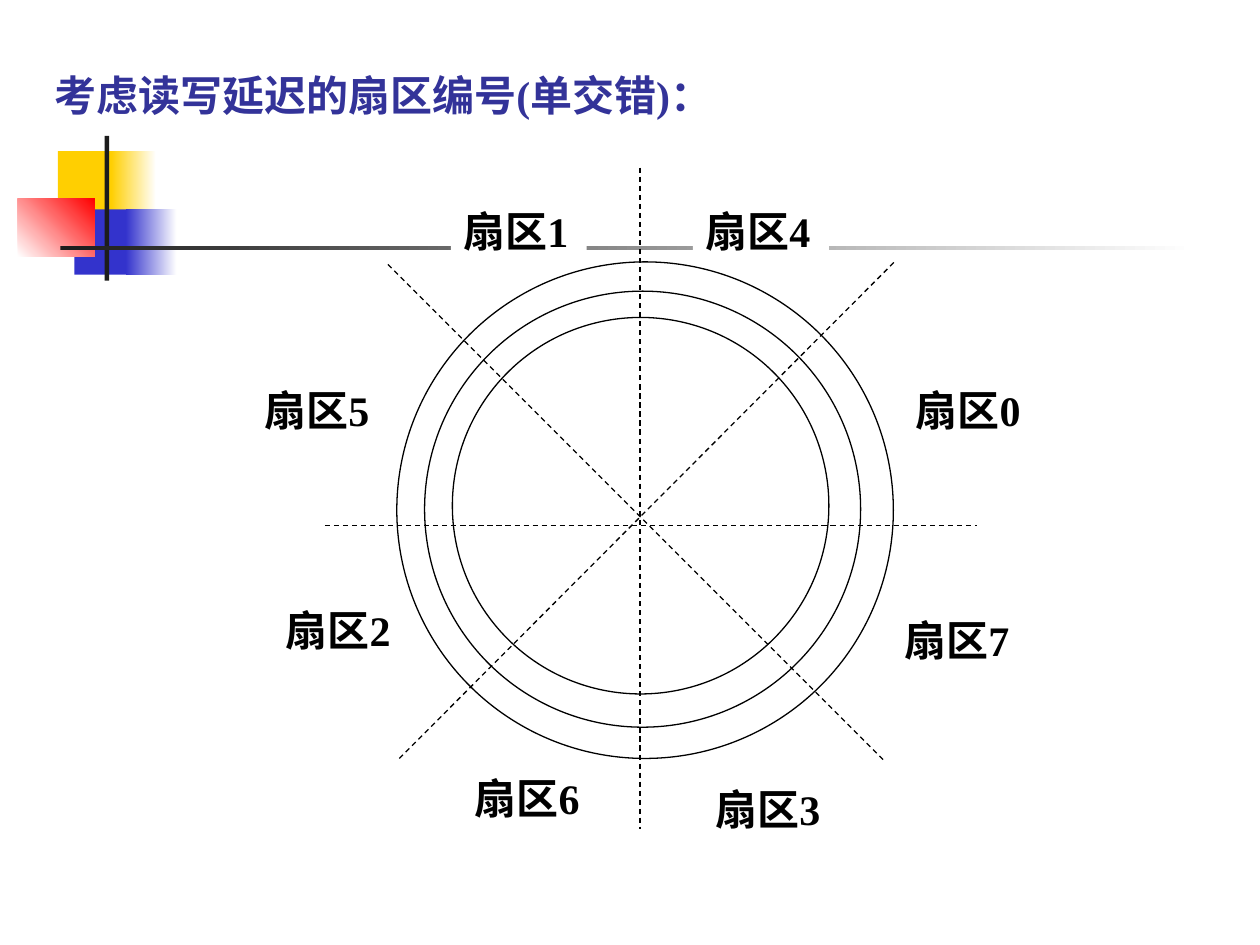
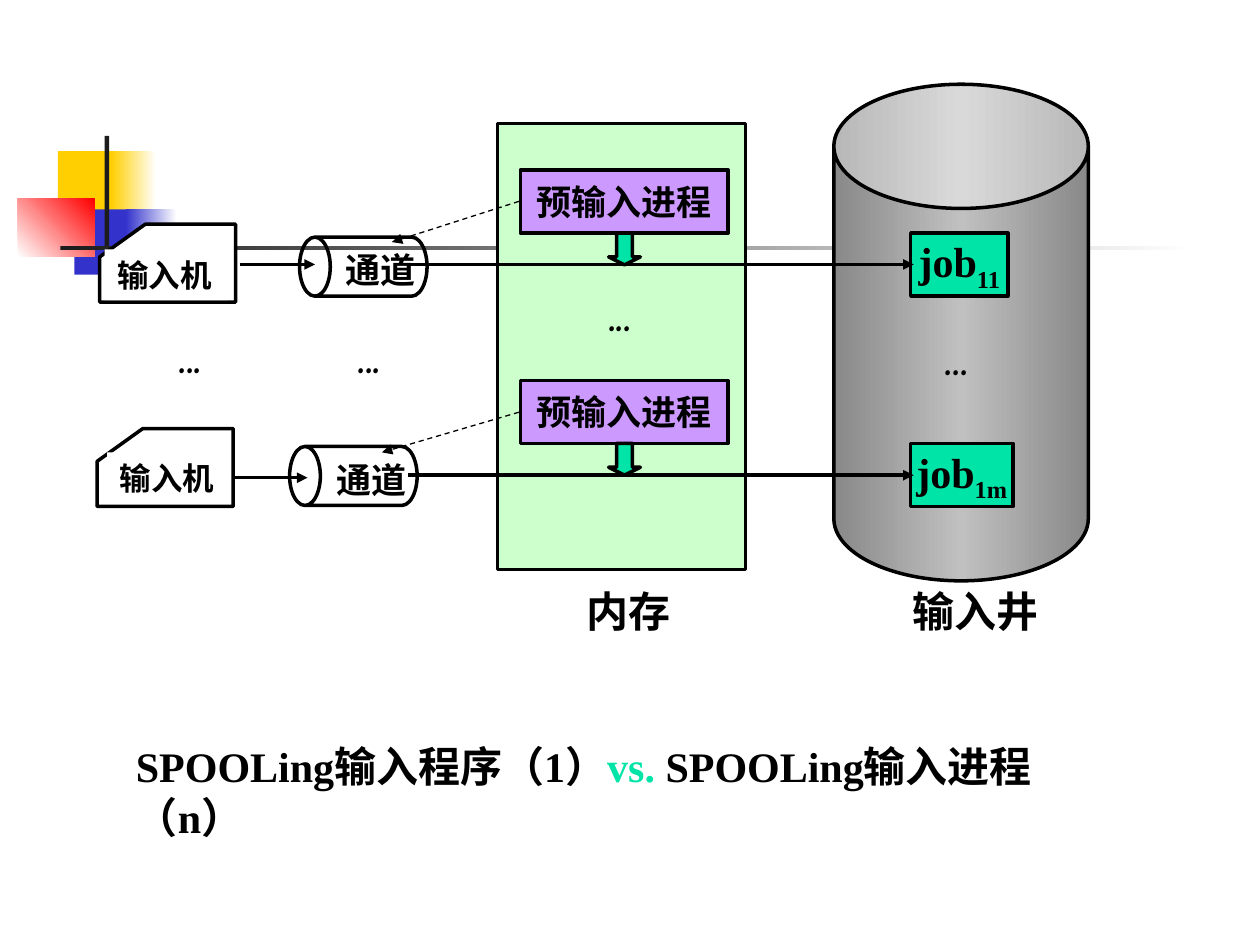
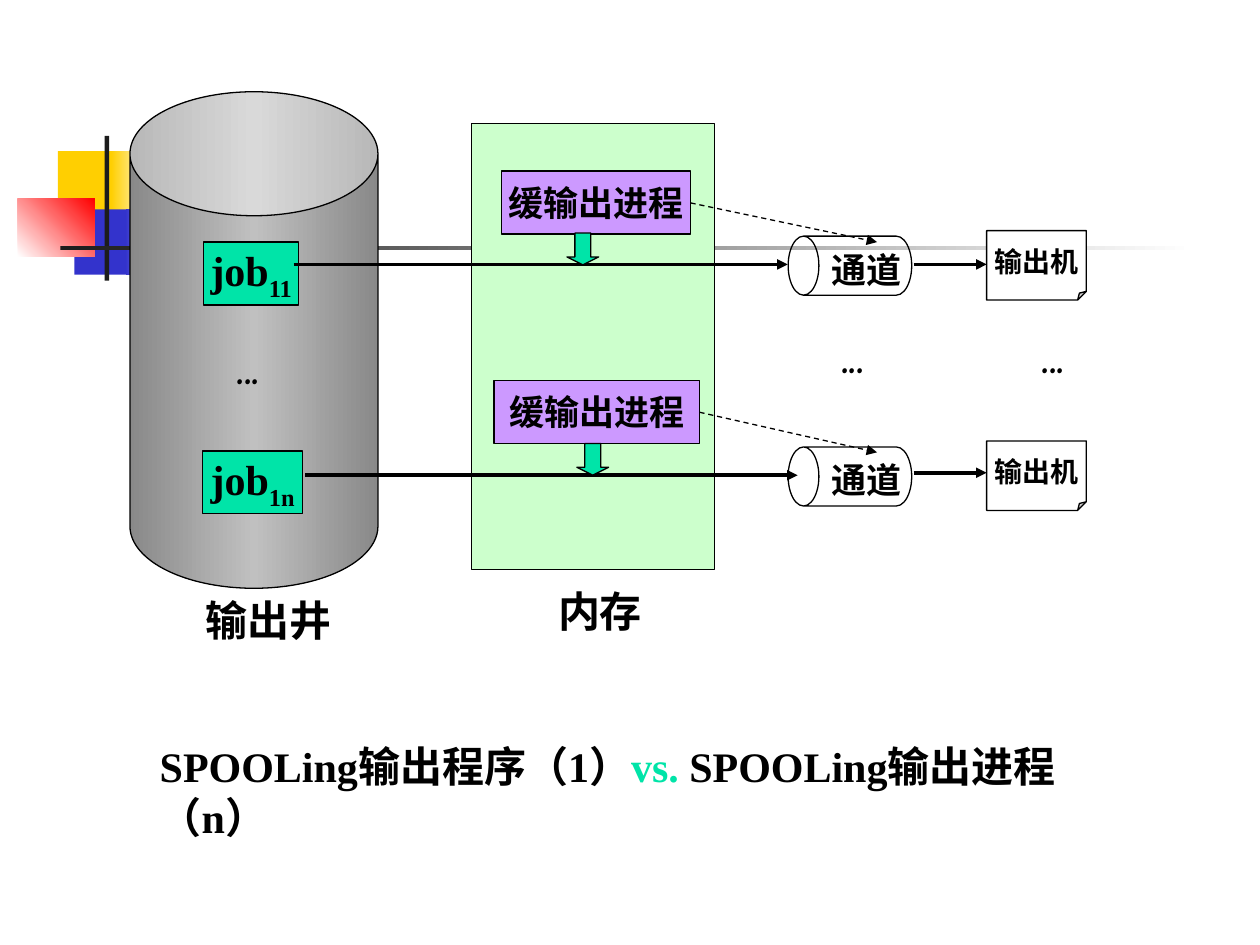
from lxml.etree import SubElement
from pptx import Presentation
from pptx.dml.color import RGBColor
from pptx.enum.dml import MSO_LINE
from pptx.enum.shapes import MSO_CONNECTOR, MSO_SHAPE
from pptx.enum.text import MSO_ANCHOR, MSO_AUTO_SIZE, PP_ALIGN
from pptx.oxml.ns import qn
from pptx.util import Cm, Pt

# Shared style
SERIF, SANS, ROUND = "Times New Roman", "Lato", "Comic Neue"
BLACK, WHITE, NAVY = "000000", "FFFFFF", "333399"
GREEN, PALE_GREEN, VIOLET = "00E4A8", "CCFFCC", "CC99FF"
YELLOW, BLUE, RED, CHARCOAL = "FFCF01", "3333CC", "FF0000", "1C1C1C"
METAL = ("898989", "C0C0C0", "898989")
THIN, THICK = 0.75, 2
LINE_HEIGHT = 1.27

# Master decoration: box in cm, fill, gradient angle
DECORATION = [
    ((1.17, 3.05, 1.22, 1.32), YELLOW, 0),
    ((2.24, 3.05, 0.91, 1.32), (YELLOW, WHITE), 0),
    ((1.5, 4.22, 1.17, 1.32), BLUE, 0),
    ((2.54, 4.22, 1.02, 1.32), (BLUE, WHITE), 0),
    ((0.36, 4.01, 1.55, 1.17), (WHITE, RED), 45),
    ((2.11, 2.74, 0.09, 2.92), CHARCOAL, 0),
    ((1.22, 4.95, 22.86, 0.09), (CHARCOAL, WHITE), 0),
]

# Slide 1: disk sectors
SECTOR_TITLE = "考虑读写延迟的扇区编号(单交错)："
TRACKS = [(8, 5.28, 10.01), (8.56, 5.87, 8.79), (9.12, 6.4, 7.59)]
SECTOR_BORDERS = [
    (7.82, 5.33, 17.83, 15.34),
    (8.05, 15.29, 18.03, 5.28),
    (12.9, 3.38, 12.9, 16.71),
    (6.55, 10.59, 19.69, 10.59),
]
SECTORS = [
    ("扇区0", 18.21, 7.62), ("扇区7", 17.98, 12.27),
    ("扇区3", 14.17, 15.67), ("扇区6", 9.32, 15.44),
    ("扇区2", 5.51, 12.07), ("扇区5", 5.08, 7.62),
    ("扇区1", 9.09, 4.01), ("扇区4", 13.97, 4.01),
]

# Slides 2 and 3: SPOOLing input and output
INPUT = {
    "border": THICK,
    "well": (16.81, 1.7, 5.13, 10.01),
    "well_adjust": 0.488,
    "memory": (10.03, 2.49, 5, 8.99),
    "labels": [("输入井", 18.14, 11.68, 3.45), ("内存", 11.58, 11.68, 2.59)],
    "dots": [(3.35, 6.55), (6.96, 6.55), (18.8, 6.6), (12.01, 5.72)],
    "process": "预输入进程",
    "machine": "输入机",
    "caption": ("SPOOLing输入程序（1）", "vs.", " SPOOLing输入进程（n）"),
    "caption_box": (2.49, 14.81, 20.14, 1.27),
    "rows": [
        {"job": "11", "job_box": (18.36, 4.7, 1.96), "process_box": (10.49, 3.43, 4.19),
         "process_font": SANS, "can": (6.73, 4.09, 1.19, 2.57), "channel": (6.71, 4.88),
         "machine_at": (2.01, 4.52), "machine_label": (2.11, 5.03), "down": (12.27, 4.7),
         "flows": [(4.83, 5.33, 6.35, 5.33), (8.23, 5.33, 18.42, 5.33)],
         "control": (10.46, 4.06, 7.9, 4.88)},
        {"job": "1m", "job_box": (18.36, 8.94, 2.06), "process_box": (10.49, 7.67, 4.19),
         "process_font": SERIF, "can": (6.53, 8.31, 1.19, 2.57), "channel": (6.53, 9.12),
         "machine_at": (1.96, 8.64), "machine_label": (2.16, 9.12), "down": (12.27, 8.94),
         "flows": [(4.67, 9.63, 6.2, 9.63), (8.23, 9.58, 18.42, 9.58)],
         "control": (10.46, 8.31, 7.7, 9.12)},
    ],
}
OUTPUT = {
    "border": THIN,
    "well": (2.62, 1.85, 5, 10.01),
    "well_adjust": 0.5,
    "memory": (9.5, 2.49, 4.9, 8.99),
    "labels": [("输出井", 3.89, 11.86, 3.38), ("内存", 11, 11.68, 2.54)],
    "dots": [(16.71, 6.55), (20.75, 6.55), (4.52, 6.78)],
    "process": "缓输出进程",
    "machine": "输出机",
    "caption": ("SPOOLing输出程序（1）", "vs.", " SPOOLing输出进程（n）"),
    "caption_box": (2.97, 14.81, 19.69, 2.29),
    "rows": [
        {"job": "11", "job_box": (4.11, 4.88, 1.91), "process_box": (10.11, 3.45, 3.81),
         "process_font": SERIF, "can": (16.54, 4.11, 1.19, 2.49), "channel": (16.51, 4.88),
         "machine_at": (19.89, 4.65), "down": (11.43, 4.7),
         "flows": [(18.42, 5.33, 19.89, 5.33), (5.92, 5.33, 15.88, 5.33)],
         "control": (13.92, 4.09, 17.68, 4.88)},
        {"job": "1n", "job_box": (4.09, 9.09, 2.01), "process_box": (9.96, 7.67, 4.14),
         "process_font": SERIF, "can": (16.54, 8.36, 1.19, 2.49), "channel": (16.51, 9.12),
         "machine_at": (19.89, 8.89), "down": (11.63, 8.94),
         "flows": [(18.42, 9.53, 19.89, 9.53), (6.15, 9.58, 16.08, 9.58)],
         "control": (14.1, 8.31, 17.68, 9.12)},
    ],
}
# Punched card with a cut corner, relative to its top left
CARD = [(0.92, 0), (2.74, 0), (2.74, 1.57), (0, 1.57), (0, 0.66)]


def color(value):
    return RGBColor.from_string(value)


def cm(values):
    return [Cm(value) for value in values]


def paint(shape, fill, border=None, angle=0):
    """Fill with one colour, a gradient (tuple) or nothing, and set the outline."""
    shape.shadow.inherit = False
    if fill is None:
        shape.fill.background()
    elif isinstance(fill, tuple):
        shape.fill.gradient()
        shape.fill.gradient_angle = angle
        stops = shape.element.spPr.find(".//" + qn("a:gsLst"))
        for stop in list(stops):
            stops.remove(stop)
        for i, value in enumerate(fill):
            stop = SubElement(stops, qn("a:gs"), pos=str(100000 * i // (len(fill) - 1)))
            SubElement(stop, qn("a:srgbClr"), val=value)
    else:
        shape.fill.solid()
        shape.fill.fore_color.rgb = color(fill)
    if border:
        shape.line.color.rgb = color(BLACK)
        shape.line.width = Pt(border)
    else:
        shape.line.fill.background()
    return shape


def add_figure(slide, kind, box, fill, border=None, adjust=None, angle=0):
    """Add a preset shape; adjust maps guide names to fractions."""
    shape = paint(slide.shapes.add_shape(kind, *cm(box)), fill, border, angle)
    if adjust:
        guides = shape.element.spPr.find(".//" + qn("a:avLst"))
        for guide in list(guides):
            guides.remove(guide)
        for name, value in adjust.items():
            SubElement(guides, qn("a:gd"), name=name, fmla=f"val {round(value * 100000)}")
    return shape


def write(shape, parts, size=24, font=SERIF, ink=BLACK, centered=False):
    """Write the parts as runs of one bold paragraph and return the runs."""
    frame = shape.text_frame
    frame.auto_size = MSO_AUTO_SIZE.NONE
    frame.word_wrap = not centered
    frame.vertical_anchor = MSO_ANCHOR.MIDDLE if centered else MSO_ANCHOR.TOP
    paragraph = frame.paragraphs[0]
    paragraph.alignment = PP_ALIGN.CENTER if centered else PP_ALIGN.LEFT
    runs = [paragraph.add_run() for _ in parts]
    for run, part in zip(runs, parts):
        run.text = part
        run.font.size = Pt(size)
        run.font.name = font
        run.font.bold = True
        run.font.color.rgb = color(ink)
    return runs


def add_text(slide, text, box, **style):
    write(slide.shapes.add_textbox(*cm(box)), [text], **style)


def add_line(slide, ends, weight=THIN, dashed=False, arrow=False):
    connector = slide.shapes.add_connector(MSO_CONNECTOR.STRAIGHT, *cm(ends))
    connector.line.color.rgb = color(BLACK)
    connector.line.width = Pt(weight)
    if dashed:
        connector.line.dash_style = MSO_LINE.DASH
    properties = connector.element.spPr
    if arrow:
        SubElement(properties.find(qn("a:ln")), qn("a:tailEnd"), type="triangle")
    SubElement(properties, qn("a:effectLst"))


def decorate_master(prs, slide):
    """Draw the decoration and move it to the slide master."""
    tree = prs.slide_master.element.cSld.spTree
    for i, (box, fill, angle) in enumerate(DECORATION):
        block = add_figure(slide, MSO_SHAPE.RECTANGLE, box, fill, angle=angle)
        block.element.nvSpPr.cNvPr.set("id", str(100 + i))
        tree.append(block.element)


def draw_sectors(slide):
    title = slide.shapes.title
    title.left, title.top, title.width, title.height = cm((0.84, 1.27, 22.02, LINE_HEIGHT))
    write(title, [SECTOR_TITLE], ink=NAVY)
    for left, top, diameter in TRACKS:
        add_figure(slide, MSO_SHAPE.OVAL, (left, top, diameter, diameter), WHITE, THIN)
    for ends in SECTOR_BORDERS:
        add_line(slide, ends, dashed=True)
    for sector, left, top in SECTORS:
        box = (left, top, 2.74, LINE_HEIGHT)
        write(add_figure(slide, MSO_SHAPE.RECTANGLE, box, WHITE), [sector])


def draw_machine(slide, name, row, border):
    left, top = row["machine_at"]
    if "machine_label" in row:
        first, *others = [cm((left + x, top + y)) for x, y in CARD]
        outline = slide.shapes.build_freeform(*first)
        outline.add_line_segments(others)
        paint(outline.convert_to_shape(), WHITE, border)
        label_box = (*row["machine_label"], 2.49, 1.02)
        write(add_figure(slide, MSO_SHAPE.RECTANGLE, label_box, WHITE), [name], size=18)
    else:
        page = add_figure(slide, MSO_SHAPE.FOLDED_CORNER, (left, top, 2.01, 1.4),
                          WHITE, border, {"adj": 0.125})
        write(page, [name], size=16, centered=True)


def draw_row(slide, diagram, row):
    border = diagram["border"]
    job = add_figure(slide, MSO_SHAPE.RECTANGLE, (*row["job_box"], LINE_HEIGHT), GREEN, border)
    index = write(job, ["job", row["job"]], centered=True)[1]
    index.font._element.set("baseline", "-25000")
    process = add_figure(slide, MSO_SHAPE.RECTANGLE, (*row["process_box"], LINE_HEIGHT),
                         VIOLET, border)
    write(process, [diagram["process"]], size=20, font=row["process_font"], centered=True)
    draw_machine(slide, diagram["machine"], row, border)
    channel = add_figure(slide, MSO_SHAPE.CAN, row["can"], None, border, {"adj": 0.521})
    channel.rotation = 270
    add_text(slide, "通道", (*row["channel"], 2.39, 1.09), size=20)
    for ends in row["flows"]:
        add_line(slide, ends, THICK, arrow=True)
    add_figure(slide, MSO_SHAPE.DOWN_ARROW, (*row["down"], 0.64, 0.64), GREEN, border,
               {"adj1": 0.5, "adj2": 0.25})
    add_line(slide, row["control"], dashed=True, arrow=True)


def draw_spooling(slide, diagram):
    border = diagram["border"]
    add_figure(slide, MSO_SHAPE.CAN, diagram["well"], METAL, border,
               {"adj": diagram["well_adjust"]})
    add_figure(slide, MSO_SHAPE.RECTANGLE, diagram["memory"], PALE_GREEN, border)
    for row in diagram["rows"]:
        draw_row(slide, diagram, row)
    for left, top in diagram["dots"]:
        add_text(slide, "...", (left, top, 1.4, LINE_HEIGHT), font=ROUND)
    for label, left, top, width in diagram["labels"]:
        add_text(slide, label, (left, top, width, LINE_HEIGHT))
    caption = slide.shapes.add_textbox(*cm(diagram["caption_box"]))
    versus = write(caption, diagram["caption"])[1]
    versus.font.color.rgb = color(GREEN)


def main():
    prs = Presentation()
    prs.slide_width, prs.slide_height = Cm(25.4), Cm(19.05)
    title_only, blank = prs.slide_layouts[5], prs.slide_layouts[6]
    sectors = prs.slides.add_slide(title_only)
    decorate_master(prs, sectors)
    draw_sectors(sectors)
    for diagram in (INPUT, OUTPUT):
        draw_spooling(prs.slides.add_slide(blank), diagram)
    prs.save("out.pptx")


if __name__ == "__main__":
    main()
